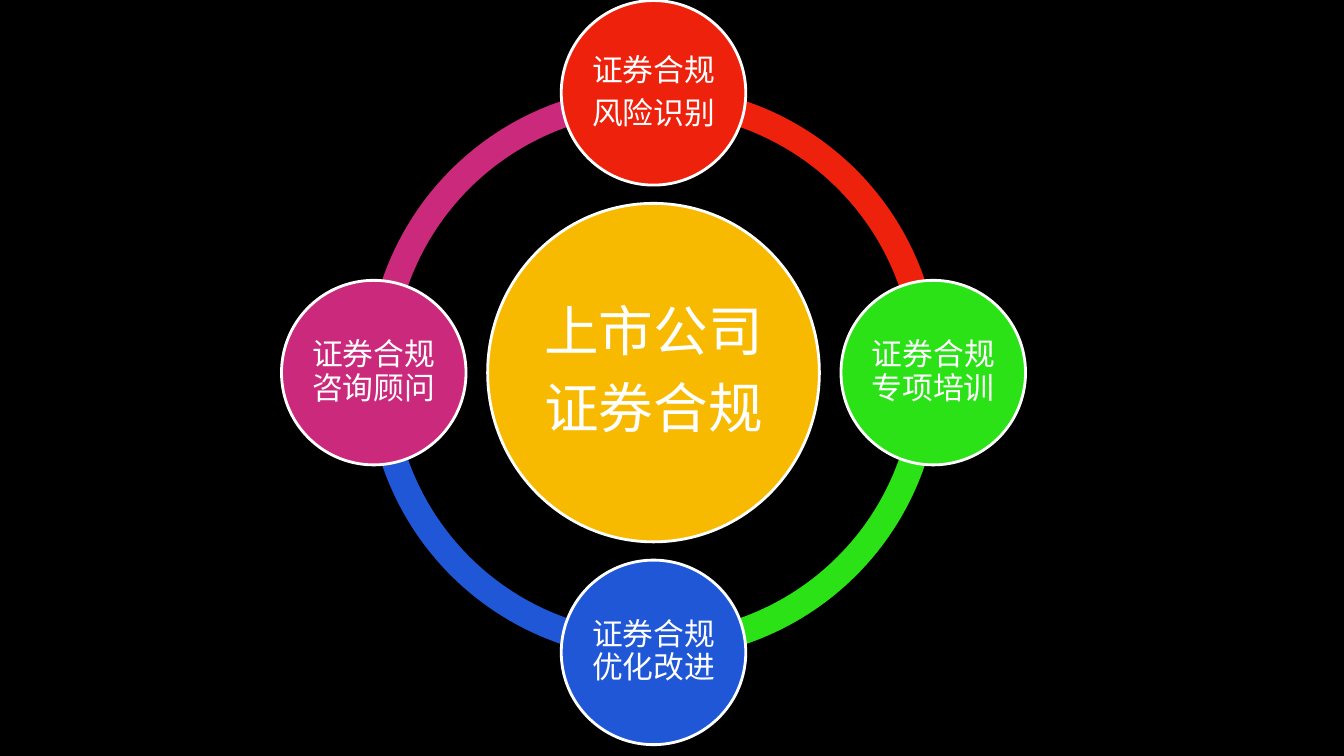
from math import cos, radians, sin

from pptx import Presentation
from pptx.dml.color import RGBColor
from pptx.enum.shapes import MSO_SHAPE
from pptx.enum.text import MSO_ANCHOR, PP_ALIGN
from pptx.util import Cm, Pt

BLACK = RGBColor(0x00, 0x00, 0x00)
WHITE = RGBColor(0xFF, 0xFF, 0xFF)
YELLOW = RGBColor(0xF8, 0xBA, 0x00)
RED = RGBColor(0xEE, 0x22, 0x0C)
GREEN = RGBColor(0x2B, 0xE2, 0x16)
BLUE = RGBColor(0x1F, 0x57, 0xD7)
MAGENTA = RGBColor(0xCB, 0x29, 0x7B)

CENTER_X, CENTER_Y = 16.47, 9.39
RING_SIZE = 14.45
ORBIT = 7.05
TOPIC_SIZE = 4.65
QUARTER_TURN = 54
FULL_TURN = 216

TOPICS = [
    (["证券合规", "风险识别"], RED),
    (["证券合规专项培训"], GREEN),
    (["证券合规优化改进"], BLUE),
    (["证券合规咨询顾问"], MAGENTA),
]


def add_centered(kind, x, y, width, height, color):
    shape = page.shapes.add_shape(
        kind, Cm(x - width / 2), Cm(y - height / 2), Cm(width), Cm(height)
    )
    shape.shadow.inherit = False
    shape.fill.solid()
    shape.fill.fore_color.rgb = color
    return shape


def add_circle(lines, x, y, width, height, color, size, inset):
    circle = add_centered(MSO_SHAPE.OVAL, x, y, width, height, color)
    circle.line.color.rgb = WHITE
    circle.line.width = Pt(2)
    frame = circle.text_frame
    frame.word_wrap = True
    frame.vertical_anchor = MSO_ANCHOR.MIDDLE
    frame.margin_left = frame.margin_right = Cm(inset)
    frame.margin_top = frame.margin_bottom = Cm(inset)
    frame.text = "\n".join(lines)
    for para in frame.paragraphs:
        para.alignment = PP_ALIGN.CENTER
        para.line_spacing = 0.9
        para.space_after = Pt(size * 0.33)
        para.font.name = "Arial"
        para.font.size = Pt(size)
        para.font.color.rgb = WHITE


deck = Presentation()
deck.slide_width = Cm(33.87)
deck.slide_height = Cm(19.05)
page = deck.slides.add_slide(deck.slide_layouts[6])
page.background.fill.solid()
page.background.fill.fore_color.rgb = BLACK

for index, (lines, color) in reversed(list(enumerate(TOPICS))):
    arc = add_centered(
        MSO_SHAPE.BLOCK_ARC, CENTER_X, CENTER_Y, RING_SIZE, RING_SIZE, color
    )
    arc.line.fill.background()
    arc.adjustments[0] = (index + 3) * QUARTER_TURN % FULL_TURN
    arc.adjustments[1] = index * QUARTER_TURN
    arc.adjustments[2] = 0.046

add_circle(["上市公司", "证券合规"], CENTER_X, CENTER_Y, 8.36, 8.53, YELLOW, 39, 0.13)

for index, (lines, color) in enumerate(TOPICS):
    angle = radians(90 * index - 90)
    x = CENTER_X + ORBIT * cos(angle)
    y = CENTER_Y + ORBIT * sin(angle)
    add_circle(lines, x, y, TOPIC_SIZE, TOPIC_SIZE, color, 22, 0.07)

deck.save("out.pptx")
